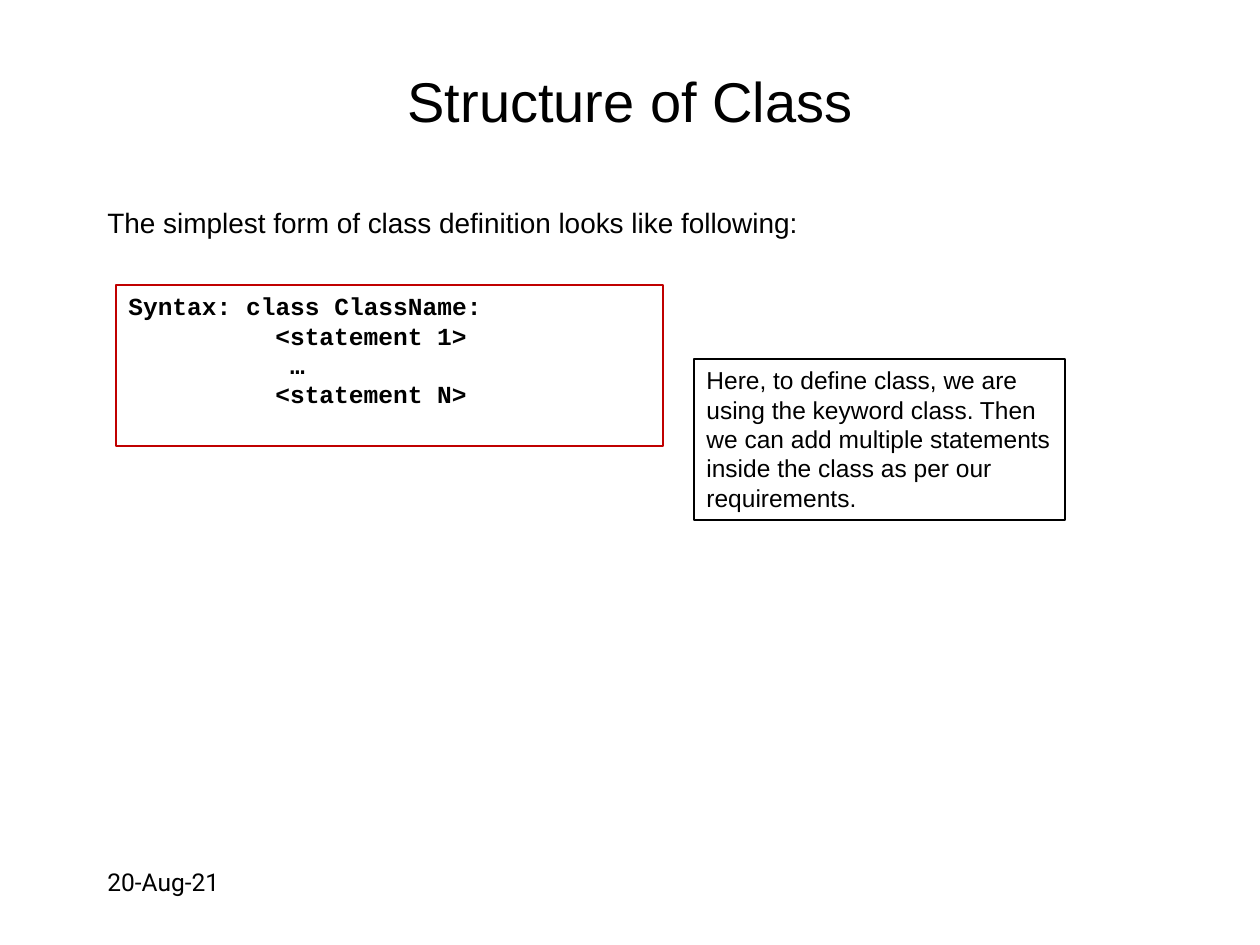
from pptx import Presentation, util as u
from pptx.dml.color import RGBColor
from pptx.enum import shapes, text

PX = 914400 // 126  # EMU per px
BLACK, RED = "000000", "C00000"
CHAR = 14.7  # px width of one 14 pt Courier New character


def px(n):
    return u.Emu(round(n * PX))


def rgb(value):
    return RGBColor.from_string(value)


def write(s, lines, font="Arial", size=14, color=BLACK, bold=False,
          align=text.PP_ALIGN.LEFT, anchor=text.MSO_ANCHOR.TOP, before=0):
    """Fill a shape with (wording, indent in characters) lines."""
    tf = s.text_frame
    tf.word_wrap = True
    tf.vertical_anchor = anchor
    for i, (wording, indent) in enumerate(lines):
        p = tf.add_paragraph() if i else tf.paragraphs[0]
        p.alignment = align
        p.space_before = u.Pt(before)
        if indent:
            p._p.get_or_add_pPr().set("marL", str(px(indent * CHAR)))
        r = p.add_run()
        r.text = wording
        r.font.name, r.font.size, r.font.bold = font, u.Pt(size), bold
        r.font.color.rgb = rgb(color)


def add_title(sp, wording, x, y, w, h):
    s = sp.title
    s.left, s.top, s.width, s.height = map(px, (x, y, w, h))
    write(s, [(wording, 0)], size=32, align=text.PP_ALIGN.CENTER,
          anchor=text.MSO_ANCHOR.MIDDLE)


def add_text(sp, wording, x, y, w, h, **fmt):
    write(sp.add_textbox(*map(px, (x, y, w, h))), [(wording, 0)], **fmt)


def add_frame(sp, lines, x, y, w, h, line, **fmt):
    s = sp.add_shape(shapes.MSO_SHAPE.RECTANGLE, *map(px, (x, y, w, h)))
    s.shadow.inherit = False
    s.fill.background()
    s.line.color.rgb = rgb(line)
    s.line.width = u.Pt(0.75)
    write(s, lines, **fmt)


def main():
    prs = Presentation()
    prs.slide_width, prs.slide_height = px(1260), px(945)
    sp = prs.slides.add_slide(prs.slide_layouts[5]).shapes

    # Heading, lead sentence and date
    add_title(sp, "Structure of Class", 95, 21, 1071, 158)
    add_text(sp, "The simplest form of class definition looks like following:",
             95, 199, 1071, 640, size=16, before=3)
    add_text(sp, "20-Aug-21", 95, 861, 262, 63, font="Roboto")

    # Class syntax
    syntax = [("Syntax: class ClassName:", 0), ("<statement 1>", 10),
              ("…", 11), ("<statement N>", 10)]
    add_frame(sp, syntax, 116, 285, 547, 161, RED,
              font="Courier New", bold=True)

    # Explanation
    note = ("Here, to define class, we are using the keyword class. Then we "
            "can add multiple statements inside the class as per our "
            "requirements.")
    add_frame(sp, [(note, 0)], 694, 359, 371, 161, BLACK)

    prs.save("out.pptx")


if __name__ == "__main__":
    main()
